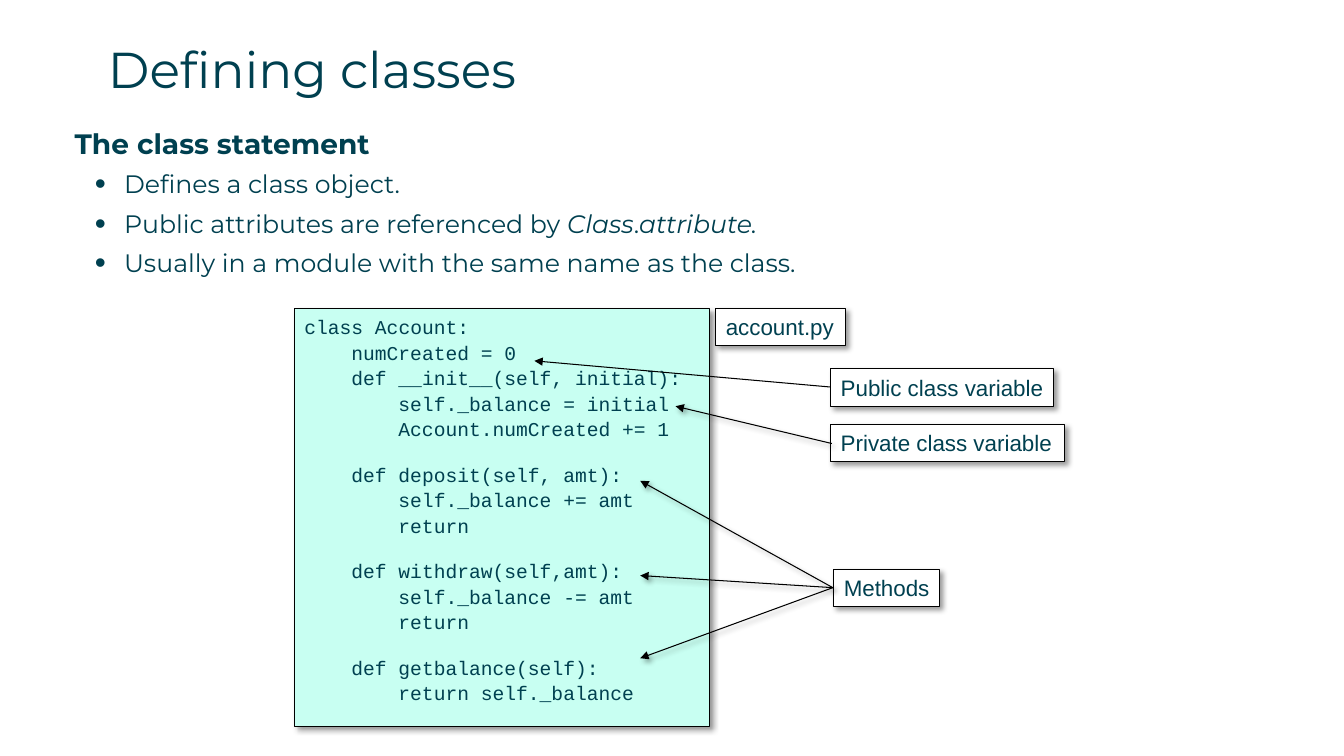
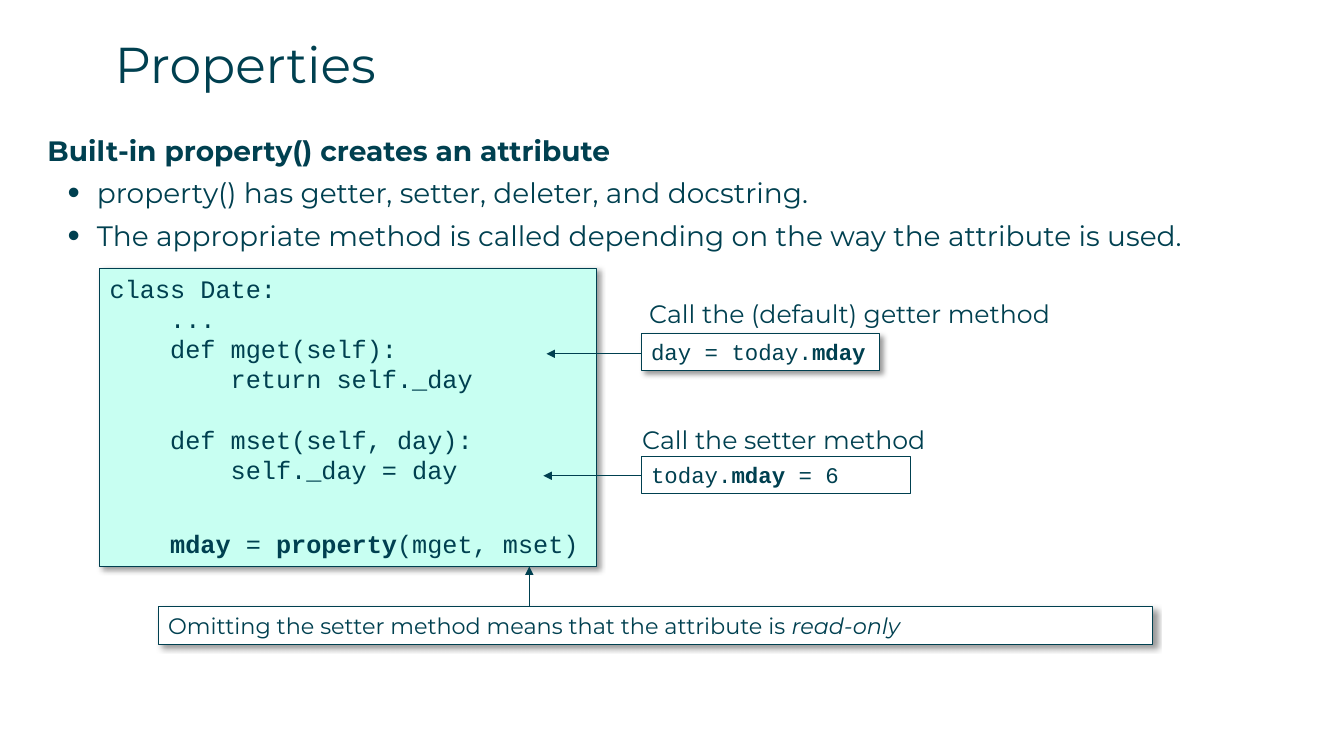
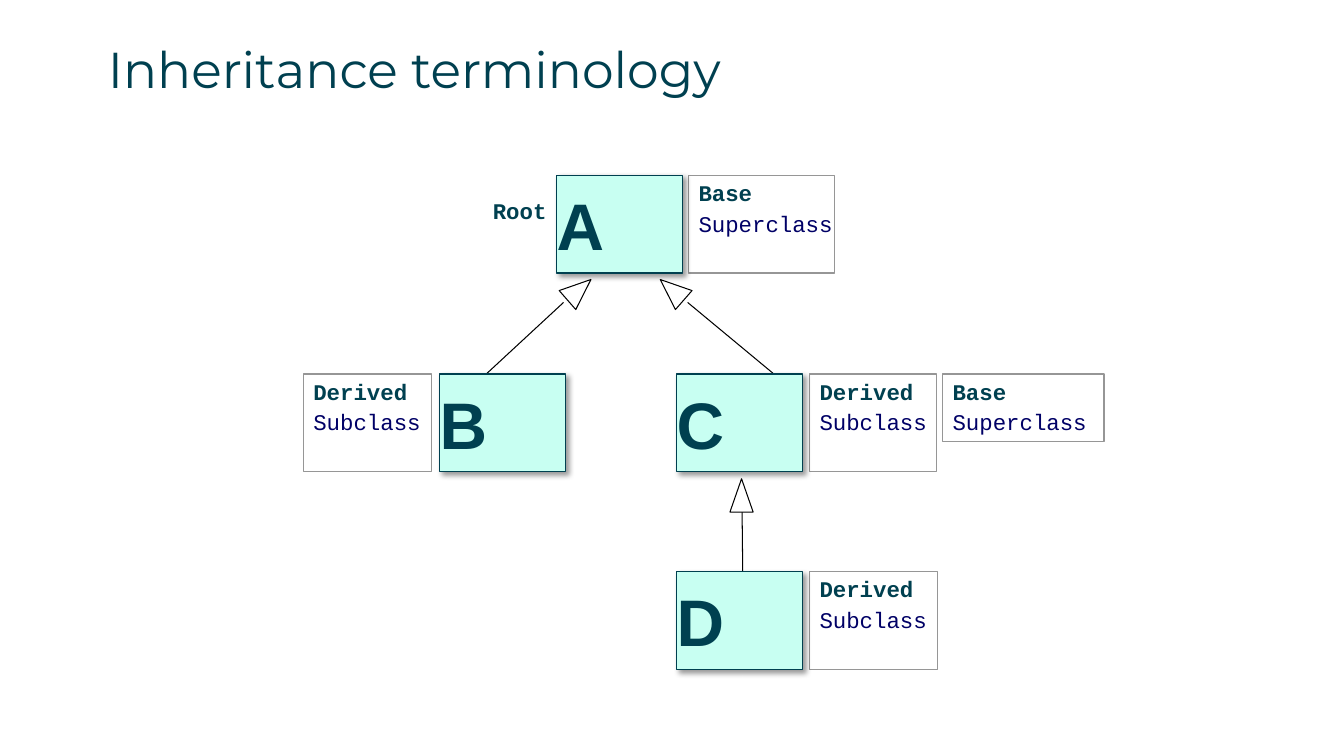
"""Build three slides on Python classes, properties and inheritance."""
from dataclasses import dataclass

from lxml.etree import SubElement
from pptx import Presentation
from pptx.dml.color import RGBColor as RGB
from pptx.enum.shapes import MSO_CONNECTOR as CONNECTOR, MSO_SHAPE as SHAPE
from pptx.enum.text import MSO_ANCHOR as ANCHOR, MSO_AUTO_SIZE as AUTO, PP_ALIGN as ALIGN
from pptx.oxml.ns import qn
from pptx.util import Inches, Pt


@dataclass(frozen=True)
class Theme:
    ink: RGB = RGB(0x00, 0x40, 0x50)
    navy: RGB = RGB(0x00, 0x00, 0x66)
    mint: RGB = RGB(0xC8, 0xFF, 0xF2)
    white: RGB = RGB(0xFF, 0xFF, 0xFF)
    black: RGB = RGB(0x00, 0x00, 0x00)
    grey: RGB = RGB(0x96, 0x96, 0x96)
    prose: str = "Montserrat"
    sans: str = "Arial"
    mono: str = "Courier New"
    title: int = 36
    heading: int = 20
    body: int = 18
    note: int = 16
    code: int = 14
    letter: int = 47
    hairline: float = 0.75


theme = Theme()


def add_box(slide, at, lines, font, size, fill=None, border=None, weight=theme.hairline,
            shadow=False, leading=None, insets=(0.1, 0.05), anchor=ANCHOR.TOP):
    """Add text, framed when a border is given; each line is (indent level, space before, runs)."""
    place = [Inches(n) for n in at]
    if border is None:
        box = slide.shapes.add_textbox(*place)
    else:
        box = slide.shapes.add_shape(SHAPE.RECTANGLE, *place)
        box.line.color.rgb, box.line.width = border, Pt(weight)
        box.shadow.inherit = False
        if fill is None:
            box.fill.background()
        else:
            box.fill.solid()
            box.fill.fore_color.rgb = fill
    if shadow:
        add_shadow = SubElement(box._element.spPr.find(qn("a:effectLst")), qn("a:outerShdw"),
                                blurRad="50800", dist="38100", dir="2700000", algn="tl")
        tint = SubElement(add_shadow, qn("a:srgbClr"), val=str(theme.black))
        SubElement(tint, qn("a:alpha"), val="40000")
    frame = box.text_frame
    frame.word_wrap, frame.auto_size, frame.vertical_anchor = True, AUTO.NONE, anchor
    frame.margin_left, frame.margin_top = [Inches(n) for n in insets]
    frame.margin_right = frame.margin_bottom = 0
    for i, (level, before, runs) in enumerate(lines):
        paragraph = frame.add_paragraph() if i else frame.paragraphs[0]
        paragraph.alignment = ALIGN.LEFT
        paragraph.space_before = Pt(before)
        if leading:
            paragraph.line_spacing = Pt(leading)
        if level:
            properties = paragraph._p.get_or_add_pPr()
            properties.set("marL", str(Pt(level * 4 * 0.6 * size)))
            properties.set("indent", "0")
        for text, style in runs:
            run = paragraph.add_run()
            run.text = text
            run.font.name, run.font.size = font, Pt(size)
            run.font.bold, run.font.italic = "b" in style, "i" in style
            run.font.color.rgb = theme.navy if "n" in style else theme.ink
    return box


def add_line(slide, start, end, color=theme.black, arrow=True, shadow=False):
    """Add a thin straight line, with an arrowhead at its end when asked."""
    line = slide.shapes.add_connector(CONNECTOR.STRAIGHT, *[Inches(n) for n in start + end])
    line.line.color.rgb, line.line.width = color, Pt(theme.hairline)
    if arrow:
        SubElement(line.line._get_or_add_ln(), qn("a:tailEnd"), type="triangle")
    effects = SubElement(line._element.spPr, qn("a:effectLst"))
    if shadow:
        cast = SubElement(effects, qn("a:outerShdw"), blurRad="50800", dist="38100",
                          dir="2700000", algn="tl")
        tint = SubElement(cast, qn("a:srgbClr"), val=str(theme.black))
        SubElement(tint, qn("a:alpha"), val="40000")


deck = Presentation()
deck.slide_width, deck.slide_height = Inches(13.33), Inches(7.5)

slides = []
for heading, left, top in [("Defining classes", 1.07, 0.38), ("Properties", 1.14, 0.33),
                           ("Inheritance terminology", 1.07, 0.38)]:
    slide = deck.slides.add_slide(deck.slide_layouts[5])
    title = slide.shapes.title
    title.left, title.top, title.width, title.height = [Inches(n) for n in (left, top, 12.6, 0.88)]
    frame = title.text_frame
    frame.auto_size, frame.vertical_anchor = AUTO.NONE, ANCHOR.TOP
    frame.margin_left = frame.margin_top = frame.margin_right = frame.margin_bottom = 0
    frame.paragraphs[0].alignment = ALIGN.LEFT
    run = frame.paragraphs[0].add_run()
    run.text = heading
    run.font.name, run.font.size = theme.prose, Pt(theme.title)
    run.font.color.rgb = theme.ink
    slides.append(slide)
classes, properties_slide, inheritance = slides

class_points = [
    [("The class statement", "b")],
    [("Defines a class object.", "")],
    [("Public attributes are referenced by ", ""), ("Class", "i"), (".", ""), ("attribute.", "i")],
    [("Usually in a module with the same name as the class.", "")],
]
property_points = [
    [("Built-in property() creates an attribute", "b")],
    [("property() has getter, setter, deleter, and docstring.", "")],
    [("The appropriate method is called depending on the way the attribute is used.", "")],
]
for slide, left, top, size, points in [(classes, 0.74, 1.25, theme.body, class_points),
                                       (properties_slide, 0.47, 1.32, theme.heading, property_points)]:
    body = add_box(slide, (left, top, 12.59, 5.42), [(0, 0, runs) for runs in points],
                   theme.prose, size, insets=(0, 0))
    lead, *bullets = body.text_frame.paragraphs
    lead.space_after = Pt(6.5)
    lead.runs[0].font.size = Pt(theme.heading)
    for bullet in bullets:
        bullet.space_after = Pt(6.5)
        indent = bullet._p.get_or_add_pPr()
        indent.set("marL", str(Inches(0.49)))
        indent.set("indent", str(Inches(-0.29)))
        SubElement(indent, qn("a:buSzPct"), val="125000")
        SubElement(indent, qn("a:buFont"), typeface=theme.sans)
        SubElement(indent, qn("a:buChar"), char="•")

account_code = [
    (0, 0, "class Account:"),
    (1, 0, "numCreated = 0"),
    (1, 0, "def __init__(self, initial):"),
    (2, 0, "self._balance = initial"),
    (2, 0, "Account.numCreated += 1"),
    (1, 14.3, "def deposit(self, amt):"),
    (2, 0, "self._balance += amt"),
    (2, 0, "return"),
    (1, 14.3, "def withdraw(self,amt):"),
    (2, 0, "self._balance -= amt"),
    (2, 0, "return"),
    (1, 14.3, "def getbalance(self):"),
    (2, 0, "return self._balance"),
]
add_box(classes, (2.92, 3.06, 4.12, 4.15),
        [(level, before, [(text, "")]) for level, before, text in account_code],
        theme.mono, theme.code, theme.mint, theme.black, shadow=True, leading=18.2)
for text, left, top, width in [("account.py", 7.1, 3.06, 1.29),
                               ("Public class variable", 8.24, 3.66, 2.21),
                               ("Private class variable", 8.24, 4.21, 2.32),
                               ("Methods", 8.27, 5.65, 1.05)]:
    add_box(classes, (left, top, width, 0.37), [(0, 0, [(text, "")])], theme.sans, theme.note,
            theme.white, theme.black, shadow=True)
add_line(classes, (8.24, 3.84), (5.3, 3.58))
add_line(classes, (8.25, 4.4), (6.7, 4.03), shadow=True)
for method_top in (4.77, 5.71, 6.53):
    add_line(classes, (8.26, 5.83), (6.35, method_top), shadow=True)

date_code = [
    (0, 0, [("class Date:", "")]),
    (1, 0, [("...", "")]),
    (1, 0, [("def mget(self):", "")]),
    (2, 0, [("return self._day", "")]),
    (1, 21.6, [("def mset(self, day):", "")]),
    (2, 0, [("self._day = day", "")]),
    (1, 31.3, [("mday", "b"), (" = ", ""), ("property", "b"), ("(mget, mset)", "")]),
]
add_box(properties_slide, (0.99, 2.66, 4.93, 2.96), date_code, theme.mono, theme.body,
        theme.mint, theme.ink, shadow=True, leading=21.6)
for at, runs, shadow in [
    ((6.36, 3.31, 2.36, 0.37), [("day = today.", ""), ("mday", "b")], True),
    ((6.36, 4.53, 2.67, 0.37), [("today.", ""), ("mday", "b"), (" = 6", "")], False),
]:
    add_box(properties_slide, at, [(0, 0, runs)], theme.mono, theme.note, theme.white, theme.ink,
            shadow=shadow, leading=19.2)
for text, at in [("Call the (default) getter method", (6.34, 2.91, 4.23, 0.4)),
                 ("Call the setter method", (6.27, 4.16, 3.05, 0.4))]:
    add_box(properties_slide, at, [(0, 0, [(text, "")])], theme.prose, theme.body)
add_box(properties_slide, (1.57, 6.02, 9.86, 0.37),
        [(0, 0, [("Omitting the setter method means that the attribute is ", ""), ("read-only", "i")])],
        theme.prose, theme.note, theme.white, theme.ink, shadow=True)
for start, end in [((6.36, 4.72), (5.39, 4.72)), ((6.36, 3.51), (5.42, 3.51)),
                   ((5.25, 6.02), (5.25, 5.62))]:
    add_line(properties_slide, start, end, theme.ink)

for role, synonym, at in [("Base", "Superclass", (6.83, 1.74, 1.45, 0.97)),
                          ("Derived", "Subclass", (3.01, 3.71, 1.27, 0.97)),
                          ("Derived", "Subclass", (8.03, 3.71, 1.26, 0.97)),
                          ("Base", "Superclass", (9.35, 3.71, 1.6, 0.67)),
                          ("Derived", "Subclass", (8.03, 5.67, 1.27, 0.97))]:
    add_box(inheritance, at, [(0, 0, [(role, "b")]), (0, 3.8, [(synonym, "n")])],
            theme.mono, theme.note, border=theme.grey, weight=1, leading=18.3)
add_box(inheritance, (4.79, 1.92, 0.8, 0.35), [(0, 0, [("Root", "b")])],
        theme.mono, theme.note, leading=18.3)
for start, end, head, angle in [((5.59, 3), (4.51, 4), (5.62, 2.72, 0.25, 0.31), 48.8),
                                ((6.82, 3), (7.82, 3.83), (6.54, 2.72, 0.25, 0.31), 311.2),
                                ((7.36, 5.06), (7.37, 5.96), (7.24, 4.75, 0.23, 0.33), 0)]:
    add_line(inheritance, start, end, arrow=False)
    triangle = inheritance.shapes.add_shape(SHAPE.ISOSCELES_TRIANGLE, *[Inches(n) for n in head])
    triangle.rotation = angle
    triangle.shadow.inherit = False
    triangle.fill.solid()
    triangle.fill.fore_color.rgb = theme.white
    triangle.line.color.rgb, triangle.line.width = theme.black, Pt(theme.hairline)
for name, left, top in [("A", 5.52, 1.74), ("B", 4.36, 3.71), ("C", 6.71, 3.71), ("D", 6.71, 5.67)]:
    add_box(inheritance, (left, top, 1.25, 0.97), [(0, 0, [(name, "b")])], theme.sans, theme.letter,
            theme.mint, theme.ink, weight=1, shadow=True, insets=(0, 0), anchor=ANCHOR.MIDDLE)

deck.save("out.pptx")
